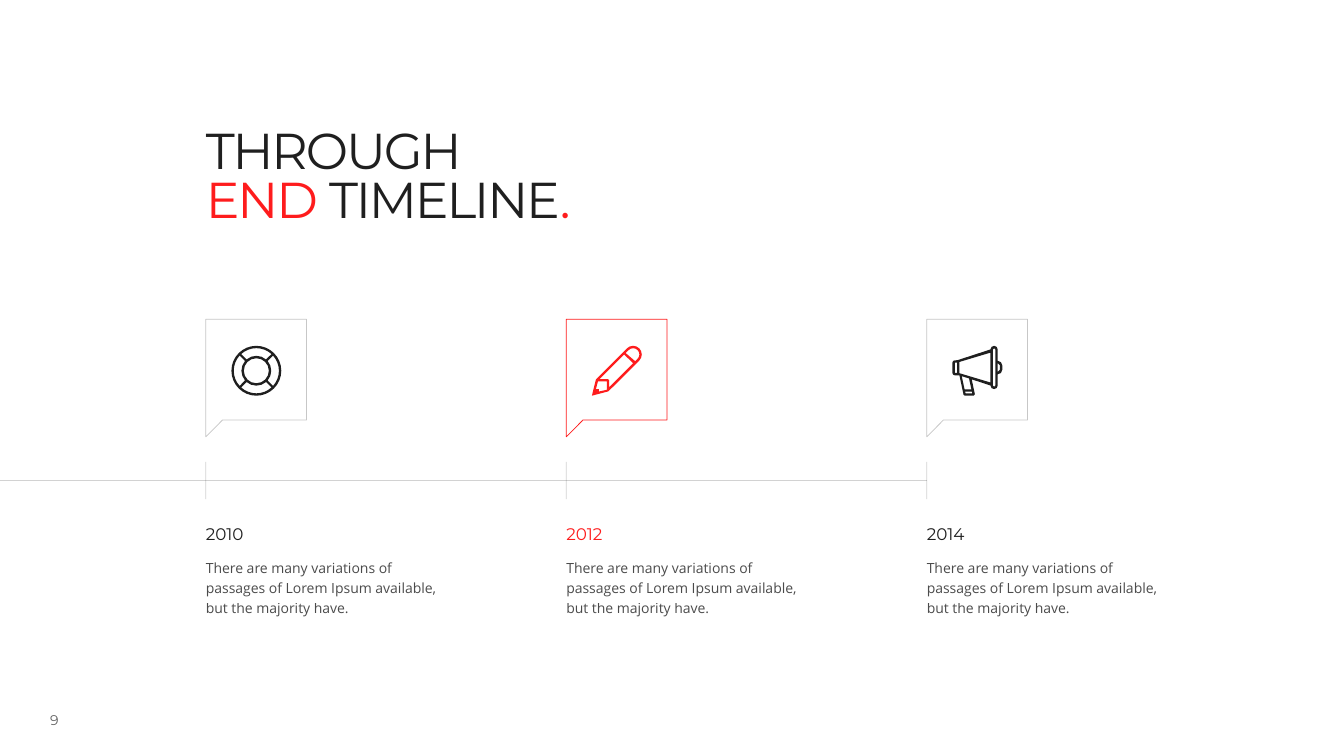
from math import asin, cos, degrees, radians, sin, tan

from lxml.etree import SubElement
from pptx import Presentation
from pptx.dml.color import RGBColor
from pptx.enum.shapes import MSO_CONNECTOR
from pptx.enum.text import MSO_ANCHOR as ANCHOR, MSO_AUTO_SIZE as FIT, PP_ALIGN as ALIGN
from pptx.oxml.ns import qn
from pptx.util import Pt

INK, RED, GREY = "1F1F1F", "FE1C1D", "C7C7C7"
HEADING_FONT, BODY_FONT = "Montserrat", "Open Sans"


def paint(fill, colour, opacity=100):
    """Make a fill solid; opacity is a percentage."""
    fill.solid()
    fill.fore_color.rgb = RGBColor.from_string(colour)
    if opacity < 100:
        rgb = fill._xPr.find(".//" + qn("a:srgbClr"))
        SubElement(rgb, qn("a:alpha")).set("val", str(opacity * 1000))


def arc(x, y, radius, start, end):
    """First point of an arc, then a Bezier triple for each quadrant it crosses."""
    low, high = sorted((start, end))
    stops = [low] + [a for a in range(-180, 361, 90) if low < a < high] + [high]
    turns = [radians(a) for a in (stops if start < end else stops[::-1])]
    steps = [(x + radius * cos(turns[0]), y + radius * sin(turns[0]))]
    for a, b in zip(turns, turns[1:]):
        pull = 4 / 3 * tan((b - a) / 4)
        steps.append((
            (x + radius * (cos(a) - pull * sin(a)), y + radius * (sin(a) + pull * cos(a))),
            (x + radius * (cos(b) + pull * sin(b)), y + radius * (sin(b) - pull * cos(b))),
            (x + radius * cos(b), y + radius * sin(b))))
    return steps


deck = Presentation()
deck.slide_width, deck.slide_height = Pt(960), Pt(540)
slide = deck.slides.add_slide(deck.slide_layouts[6])
shapes = slide.shapes

# Icons: outlines on a grid of 49.5 units, inner ones cut holes
ring_mid, outer_rim, inner_rim, half_gap = 24.75, 22.4, 14.8, 1.1
outer_half = 45 - degrees(asin(half_gap / outer_rim))
inner_half = 45 - degrees(asin(half_gap / inner_rim))
lifebuoy = [arc(ring_mid, ring_mid, radius, 0, 360) for radius in (ring_mid, 12.4)]
for turn in (0, 90, 180, 270):
    lifebuoy.append(
        arc(ring_mid, ring_mid, outer_rim, turn - outer_half, turn + outer_half)
        + arc(ring_mid, ring_mid, inner_rim, turn + inner_half, turn - inner_half))

pencil = [
    arc(40.9, 8.6, 8.6, -135, 45) + [(16.4, 45.2), (0, 49.5), (4, 33.4)],
    arc(40.9, 8.6, 6.2, -135, 45) + [(43, 15.3), (33.5, 7.2)],
    [(17, 41.3), (17, 34), (16, 33), (7.7, 33), (32, 8.7), (41, 17.3)],
    [(15, 43.6), (7, 45.4), (7, 43), (4, 43), (6, 35.3), (15, 35.3)],
]

megaphone = [
    arc(41.4, 3.6, 3.6, -180, 0)
    + arc(45, 19.4, 4.5, -90, 0) + arc(45, 23.8, 4.5, 0, 90)
    + arc(41.4, 39.4, 3.6, 0, 180)
    + [(19.2, 33.3), (22.3, 48), (21.2, 49.5), (12.3, 49.5), (11.1, 48.6), (7, 29.3)]
    + arc(2.4, 26.9, 2.4, 90, 180) + arc(2.4, 16.8, 2.4, 180, 270) + [(5, 14.3)],
    arc(41.4, 3.6, 1.2, -180, 0) + arc(41.4, 39.4, 1.2, 0, 180),
    [(45, 17.2), (47.1, 19.4), (47.1, 23.8), (45, 26)],
    [(37.8, 36.4), (7, 27.2), (7, 16), (37.8, 6.8)],
    [(18.9, 43.2), (12.1, 43.2), (9.3, 30.2), (16.5, 32.4)],
    [(19.8, 47.2), (13.1, 47.2), (12.6, 45.4), (19.4, 45.4)],
    [(4.7, 27), (2.4, 27), (2.4, 16.6), (4.7, 16.6)],
]

# Timeline and stages
stage_left, stage_step, axis_y, tick_half = 147, 257.5, 343.2, 13.3
stages = [("2010", lifebuoy, INK, GREY), ("2012", pencil, RED, RED),
          ("2014", megaphone, INK, GREY)]
story = ("There are many variations of passages of Lorem Ipsum available, "
         "but the majority have.")
bubble = [(0, 0), (72, 0), (72, 72), (12, 72), (0, 84)]

rules = [(0, axis_y, stage_left + 2 * stage_step, axis_y)]
outlines = []
grow = {"auto_size": FIT.SHAPE_TO_FIT_TEXT, "margin_top": Pt(3.6), "margin_bottom": Pt(3.6)}
# Box, frame format, paragraph format, font, size, opacity, runs
texts = [
    ((18.7, 505.4, 40.3, 18), {"vertical_anchor": ANCHOR.MIDDLE},
     {"alignment": ALIGN.CENTER}, HEADING_FONT, 10, 70, [("9", INK)]),
    ((147, 78.5, 332.6, 127.4), {"margin_top": Pt(15.1)}, {"line_spacing": 0.8},
     HEADING_FONT, 36, 100,
     [("THROUGH", INK), ("\n", INK), ("END", RED), (" TIMELINE", INK), (".", RED)]),
]
for i, (year, icon, colour, border) in enumerate(stages):
    x = stage_left + i * stage_step
    rules.append((x, axis_y - tick_half, x, axis_y + tick_half))
    outlines += [([bubble], x, 228, 1, None, border),
                 (icon, x + 18.3, 247, 0.72, colour, None)]
    texts += [
        ((x, 374.4, 169.2, 18.7), grow, {"line_spacing": 0.7},
         HEADING_FONT, 12, 100, [(year, colour)]),
        ((x, 393.6, 169.2, 51.1), grow, {"line_spacing": 1.2},
         BODY_FONT, 10, 80, [(story, INK)]),
    ]

for ends in rules:
    rule = shapes.add_connector(MSO_CONNECTOR.STRAIGHT, *map(Pt, ends))
    rule.line.width = Pt(0.5)
    paint(rule.line.fill, INK, 20)
    SubElement(rule._element.spPr, qn("a:effectLst"))

for contours, left, top, unit, inside, border in outlines:
    builder = None
    sizes = []
    for contour in contours:
        steps = [step if len(step) == 3 else (step,) for step in contour]
        points = [(Pt(left + x * unit), Pt(top + y * unit)) for step in steps for x, y in step]
        sizes += [len(step) for step in steps[1:]]
        if builder is None:
            builder = shapes.build_freeform(*points[0], scale=1.0)
        else:
            builder.move_to(*points[0])
        builder.add_line_segments(points[1:], close=True)
    outline = builder.convert_to_shape()
    # Join each Bezier triple into one curve
    segments = iter(list(outline._element.iter(qn("a:lnTo"))))
    for size in sizes:
        segment = next(segments)
        if size == 3:
            segment.tag = qn("a:cubicBezTo")
            for _ in range(2):
                extra = next(segments)
                segment.append(extra[0])
                extra.getparent().remove(extra)
    outline.shadow.inherit = False
    for fill, colour in ((outline.fill, inside), (outline.line.fill, border)):
        if colour:
            paint(fill, colour)
        else:
            fill.background()
    if border:
        outline.line.width = Pt(0.5)

for box, frame_format, paragraph_format, font_name, size, opacity, runs in texts:
    frame = shapes.add_textbox(*map(Pt, box)).text_frame
    frame_values = {"word_wrap": True, "margin_left": 0, "margin_right": 0,
                    "margin_top": 0, "margin_bottom": 0, **frame_format}
    paragraph = frame.paragraphs[0]
    for target, values in ((frame, frame_values), (paragraph, paragraph_format)):
        for key, value in values.items():
            setattr(target, key, value)
    for words, colour in runs:
        if words == "\n":
            paragraph.add_line_break()
            continue
        run = paragraph.add_run()
        run.text = words
        run.font.name, run.font.size = font_name, Pt(size)
        paint(run.font.fill, colour, opacity)
        if size == 36:
            run.font._element.set("spc", "-150")

deck.save("out.pptx")
